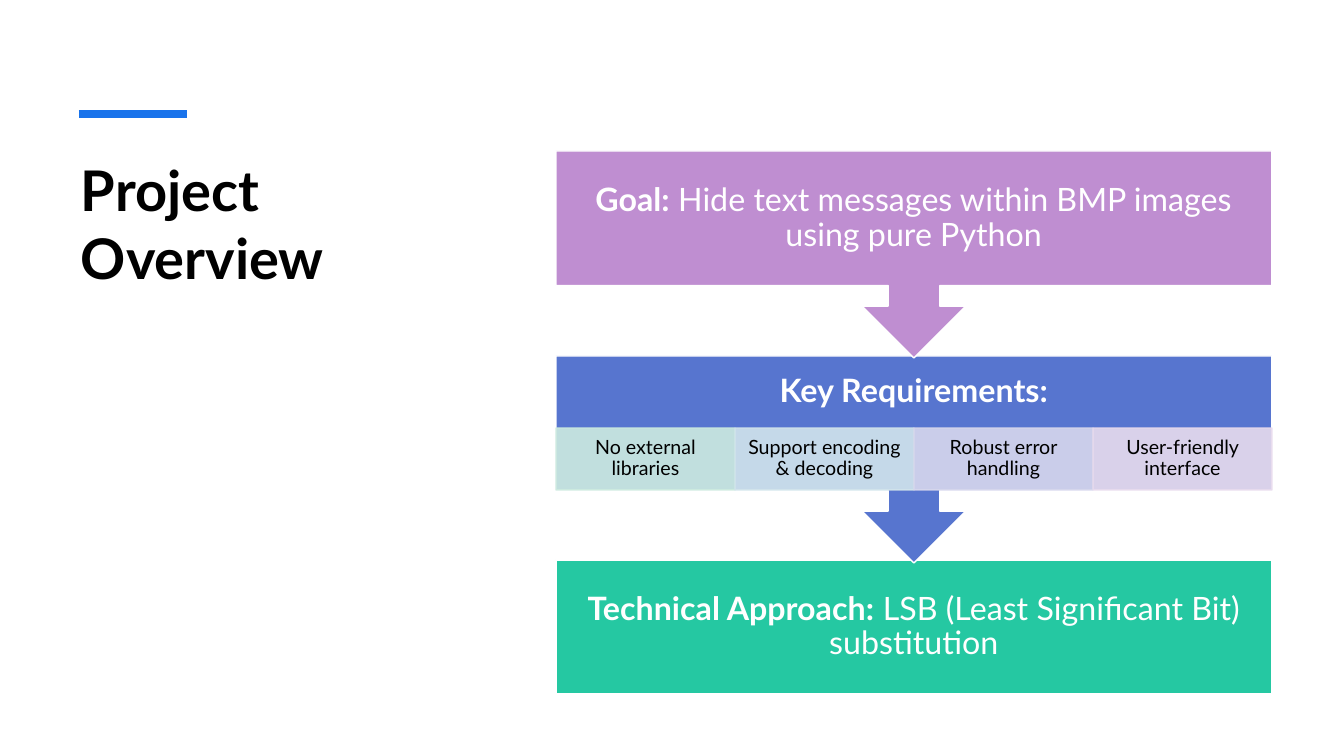
"""Build the Project Overview slide with a goal, requirements and approach flow."""
import lxml.etree
import pptx
import pptx.dml.color
import pptx.enum.shapes
import pptx.enum.text
import pptx.oxml.ns
import pptx.util

RGBColor = pptx.dml.color.RGBColor
SHAPES = pptx.enum.shapes.MSO_SHAPE
ALIGN = pptx.enum.text.PP_ALIGN
ANCHOR = pptx.enum.text.MSO_ANCHOR

EMU_PER_PX = 914400 / 100.8
FONT = "Lato"
WHITE = RGBColor(0xFF, 0xFF, 0xFF)
BLACK = RGBColor(0x00, 0x00, 0x00)
ACCENT = RGBColor(0x19, 0x73, 0xEB)
PURPLE = RGBColor(0xBF, 0x8E, 0xD1)
BLUE = RGBColor(0x57, 0x75, 0xCF)
GREEN = RGBColor(0x25, 0xC8, 0xA2)
MINT = RGBColor(0xCD, 0xEB, 0xE0)
SKY = RGBColor(0xD2, 0xE4, 0xEC)
LAVENDER = RGBColor(0xD7, 0xD7, 0xED)
LILAC = RGBColor(0xE8, 0xDB, 0xEE)

FLOW_LEFT, FLOW_WIDTH = 556, 716
GOAL_TOP, KEY_TOP, APPROACH_TOP = 151, 356, 560
CALLOUT_HEIGHT, BLOCK_HEIGHT = 207, 134
CELL_TOP, CELL_HEIGHT = 428, 62
REQUIREMENTS = [
    ("No external libraries", MINT),
    ("Support encoding & decoding", SKY),
    ("Robust error handling", LAVENDER),
    ("User-friendly interface", LILAC),
]


def px(length):
    """Turn pixels into EMU."""
    return pptx.util.Emu(round(length * EMU_PER_PX))


def write_text(box, bold_text, plain_text="", *, size, color, align=ALIGN.CENTER,
               anchor=ANCHOR.MIDDLE, spacing=0.9, insets=(18, 18, 18, 18)):
    """Write a bold span and a plain span into a box as one paragraph."""
    frame = box.text_frame
    frame.word_wrap = True
    frame.vertical_anchor = anchor
    frame.margin_left, frame.margin_top, frame.margin_right, frame.margin_bottom = map(px, insets)
    para = frame.paragraphs[0]
    para.alignment = align
    para.line_spacing = spacing
    for text, bold in ((bold_text, True), (plain_text, False)):
        if text:
            span = para.add_run()
            span.text = text
            span.font.name = FONT
            span.font.size = pptx.util.Pt(size)
            span.font.bold = bold
            span.font.color.rgb = color


def add_block(page, kind, left, top, width, height, fill, line=WHITE):
    """Add a filled, outlined shape without a shadow."""
    block = page.shapes.add_shape(kind, px(left), px(top), px(width), px(height))
    block.shadow.inherit = False
    block.fill.solid()
    block.fill.fore_color.rgb = fill
    block.line.color.rgb = line
    block.line.width = pptx.util.Pt(1)
    return block


def set_opacity(block, percent):
    """Make the fill and the line of a block partly transparent."""
    for color in block.fill._xPr.iter(pptx.oxml.ns.qn("a:srgbClr")):
        alpha = lxml.etree.SubElement(color, pptx.oxml.ns.qn("a:alpha"))
        alpha.set("val", str(percent * 1000))


def add_title(page):
    """Add the accent line and the slide title."""
    accent = page.shapes.add_connector(
        pptx.enum.shapes.MSO_CONNECTOR.STRAIGHT, px(79), px(114), px(187), px(114))
    accent.line.color.rgb = ACCENT
    accent.line.width = pptx.util.Pt(6)
    lxml.etree.SubElement(accent._element.spPr, pptx.oxml.ns.qn("a:effectLst"))
    title = page.shapes.add_textbox(px(71), px(151), px(405), px(405))
    write_text(title, "Project Overview", size=40, color=BLACK, align=ALIGN.LEFT,
               anchor=ANCHOR.TOP, spacing=1.0, insets=(10, 5, 10, 5))


def add_requirements(page):
    """Add the row of equal requirement cells."""
    width = FLOW_WIDTH // len(REQUIREMENTS)
    for index, (text, color) in enumerate(REQUIREMENTS):
        cell = add_block(page, SHAPES.RECTANGLE, FLOW_LEFT + index * width, CELL_TOP,
                         width, CELL_HEIGHT, color, line=color)
        set_opacity(cell, 90)
        write_text(cell, "", text, size=14, color=BLACK, insets=(11, 2, 11, 2))


def main():
    """Build and save the deck."""
    deck = pptx.Presentation()
    deck.slide_width, deck.slide_height = px(1344), px(756)
    page = deck.slides.add_slide(deck.slide_layouts[6])
    add_title(page)

    approach = add_block(page, SHAPES.RECTANGLE, FLOW_LEFT, APPROACH_TOP,
                         FLOW_WIDTH, BLOCK_HEIGHT, GREEN)
    write_text(approach, "Technical Approach:", " LSB (Least Significant Bit) substitution",
               size=23, color=WHITE)

    key = add_block(page, SHAPES.DOWN_ARROW_CALLOUT, FLOW_LEFT, KEY_TOP,
                    FLOW_WIDTH, CALLOUT_HEIGHT, BLUE)
    write_text(key, "Key Requirements:", size=23, color=WHITE,
               insets=(18, 18, 18, 18 + CELL_HEIGHT))
    add_requirements(page)

    goal = add_block(page, SHAPES.DOWN_ARROW_CALLOUT, FLOW_LEFT, GOAL_TOP,
                     FLOW_WIDTH, CALLOUT_HEIGHT, PURPLE)
    write_text(goal, "Goal:", " Hide text messages within BMP images using pure Python",
               size=23, color=WHITE)
    deck.save("out.pptx")


if __name__ == "__main__":
    main()
